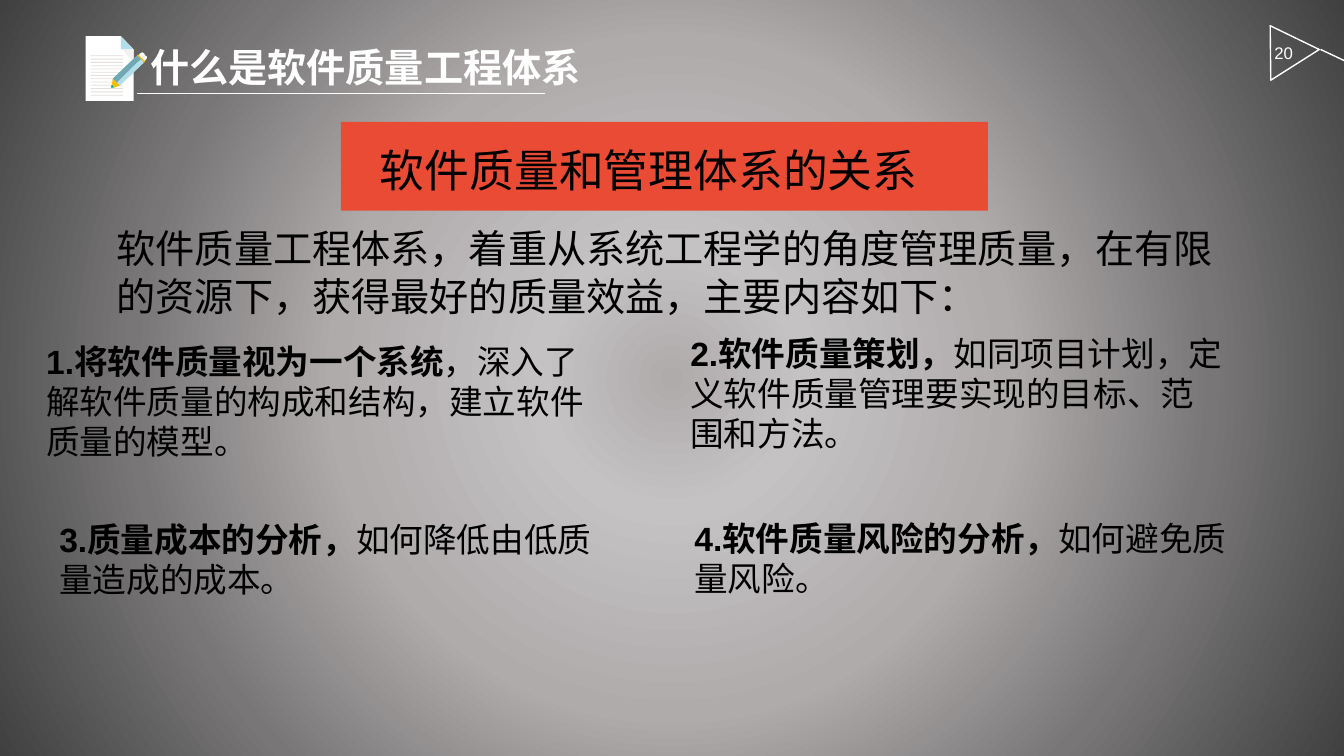
from dataclasses import dataclass

from lxml import etree
from pptx import Presentation, util as u
from pptx.dml.color import RGBColor
from pptx.enum import shapes, text
from pptx.oxml.ns import qn


@dataclass(frozen=True)
class Theme:
    latin: str = "Arial"
    chinese: str = "Noto Sans CJK SC"
    white: str = "FFFFFF"
    ink: str = "000000"
    banner: str = "E94B35"
    rule: str = "E3E0DB"
    glass: str = "B1DEEA"
    fold: str = "F1F1F0"
    steel: str = "70A9B3"
    gold: str = "F3C000"
    lead: str = "009A88"
    eraser: str = "FFFEFC"
    cap: str = "FBF8F1"
    backdrop: tuple = ((0, "F7FAFD"), (0, "AFABAB"), (17, "C4C2C3"),
                       (44, "AFABAB"), (70, "787676"), (100, "404040"))
    banner_size: int = 32
    title_size: int = 28
    point_size: int = 24
    page_size: int = 12


class SlideBuilder:
    """Draws on one slide; every length is in points."""

    def __init__(self, slide, theme):
        self.slide, self.theme = slide, theme

    def backdrop(self):
        self.slide.background.fill.gradient()
        gradient = self.slide.element.find(".//" + qn("a:gradFill"))
        for child in list(gradient):
            gradient.remove(child)
        stops = etree.SubElement(gradient, qn("a:gsLst"))
        for percent, color in self.theme.backdrop:
            stop = etree.SubElement(stops, qn("a:gs"), pos=str(percent * 1000))
            etree.SubElement(stop, qn("a:srgbClr"), val=color)
        circle = etree.SubElement(gradient, qn("a:path"), path="circle")
        etree.SubElement(circle, qn("a:fillToRect"),
                         {side: "50000" for side in "ltrb"})

    def paint(self, shape, fill=None, line=None, width=1):
        shape.shadow.inherit = False
        if fill:
            shape.fill.solid()
            shape.fill.fore_color.rgb = RGBColor.from_string(fill)
        else:
            shape.fill.background()
        if line:
            shape.line.color.rgb = RGBColor.from_string(line)
            shape.line.width = u.Pt(width)
        else:
            shape.line.fill.background()

    def preset(self, kind, box, parent=None, rotation=0, **look):
        shape = (parent or self.slide).shapes.add_shape(kind, *map(u.Pt, box))
        shape.rotation = rotation
        self.paint(shape, **look)

    def outline(self, points, fill, parent):
        start, *rest = [(u.Pt(x), u.Pt(y)) for x, y in points]
        builder = parent.shapes.build_freeform(*start)
        builder.add_line_segments(rest, close=True)
        self.paint(builder.convert_to_shape(), fill=fill)

    def line(self, ends, color, width):
        rule = self.slide.shapes.add_connector(
            shapes.MSO_CONNECTOR.STRAIGHT, *map(u.Pt, ends))
        rule.line.color.rgb = RGBColor.from_string(color)
        rule.line.width = u.Pt(width)
        etree.SubElement(rule.element.spPr, qn("a:effectLst"))

    def words(self, box, runs, size, color, font=None, before=0,
              align=text.PP_ALIGN.LEFT, **frame_format):
        frame = self.slide.shapes.add_textbox(*map(u.Pt, box)).text_frame
        frame_format = {"word_wrap": True,
                        "auto_size": text.MSO_AUTO_SIZE.SHAPE_TO_FIT_TEXT,
                        **frame_format}
        for name, value in frame_format.items():
            setattr(frame, name, value)
        paragraph = frame.paragraphs[0]
        paragraph.alignment = align
        if before:
            spacing = etree.SubElement(
                paragraph._p.get_or_add_pPr(), qn("a:spcBef"))
            etree.SubElement(spacing, qn("a:spcPct"), val=str(before * 1000))
        for wording, bold in runs:
            run = paragraph.add_run()
            run.text = wording
            run_format = {"size": u.Pt(size), "bold": bold,
                          "name": font or self.theme.latin}
            for name, value in run_format.items():
                setattr(run.font, name, value)
            run.font.color.rgb = RGBColor.from_string(color)
            etree.SubElement(run.font._element, qn("a:ea"),
                             typeface=self.theme.chinese)

    def notepad(self):
        theme = self.theme
        icon = self.slide.shapes.add_group_shape()
        # Sheet with its folded corner
        sheet = [
            (theme.white, [(61.2, 25.9), (61.2, 72), (95.4, 72),
                           (95.4, 35.3), (86.4, 25.9)]),
            (theme.glass, [(95.4, 35.3), (86.4, 25.9), (86.4, 35.3)]),
            (theme.fold, [(87.5, 35.3), (95.4, 44.3), (95.4, 35.3)]),
        ]
        pencil = [
            (theme.eraser, [(102.2, 44.6), (104.4, 42.5), (105.1, 41.4),
                            (104.8, 40.3), (103.7, 39.6), (100.8, 42.5)]),
            (theme.cap, [(103.7, 39.6), (103, 38.2), (101.5, 37.4),
                         (100.1, 38.2), (98.6, 40.3), (100.8, 42.5)]),
            (theme.gold, [(85.7, 61.2), (80.6, 56.2), (79.9, 60.5),
                          (81.4, 62.6)]),
            (theme.lead, [(81.4, 62.6), (79.9, 60.5), (79.2, 62.6)]),
            (theme.gold, [(98.6, 38.9), (97.9, 39.6), (103, 44.6),
                          (103.7, 43.9)]),
            (theme.glass, [(102.2, 44.6), (100.8, 42.5), (98.6, 43.9),
                           (83.5, 59), (85.7, 61.2), (103, 44.6)]),
            (theme.steel, [(98.6, 40.3), (97.9, 39.6), (80.6, 56.2),
                           (83.5, 59), (98.6, 43.9), (100.8, 42.5)]),
        ]
        for color, points in sheet:
            self.outline(points, color, icon)
        # Ruled lines on the sheet
        for row in range(13):
            self.preset(shapes.MSO_SHAPE.RECTANGLE,
                        (64.8, 39.6 + 2.34 * row, 23, 0.6),
                        parent=icon, fill=theme.rule)
        for color, points in pencil:
            self.outline(points, color, icon)


def main():
    theme = Theme()
    deck = Presentation()
    deck.slide_width, deck.slide_height = u.Pt(960), u.Pt(540)
    page = SlideBuilder(deck.slides.add_slide(deck.slide_layouts[6]), theme)
    page.backdrop()

    # Page marker
    page.preset(shapes.MSO_SHAPE.ISOSCELES_TRIANGLE, (895.7, 15.8, 41, 33.1),
                rotation=327.6, line=theme.white)
    page.line((943.2, 35.3, 966.2, 46.1), theme.white, 1)

    # Heading icon, underline and banner
    page.notepad()
    page.line((97.9, 67, 389.5, 67), theme.white, 0.5)
    page.preset(shapes.MSO_SHAPE.RECTANGLE, (243.4, 87.1, 462.2, 63.4),
                fill=theme.banner)

    # Four points: box, bold lead, explanation
    points = [
        ((486, 234, 395.3, 94.3), "2.软件质量策划，",
         "如同项目计划，定义软件质量管理要实现的目标、范围和方法。"),
        ((25.9, 239.8, 416.2, 94.3), "1.将软件质量视为一个系统",
         "，深入了解软件质量的构成和结构，建立软件质量的模型。"),
        ((488.9, 366.5, 416.2, 65.5), "4.软件质量风险的分析，",
         "如何避免质量风险。"),
        ((35.3, 367.2, 416.2, 65.5), "3.质量成本的分析，",
         "如何降低由低质量造成的成本。"),
    ]
    for box, lead, explanation in points:
        page.words(box, [(lead, True), (explanation, False)],
                   theme.point_size, theme.ink, before=40)

    # Banner wording, page number, introduction and title
    page.words((264.2, 98.6, 462.2, 46.1), [("软件质量和管理体系的关系", False)],
               theme.banner_size, theme.ink)
    page.words((901.4, 23.8, 31, 28.1), [("20", False)],
               theme.page_size, theme.white, align=text.PP_ALIGN.CENTER,
               auto_size=text.MSO_AUTO_SIZE.NONE,
               vertical_anchor=text.MSO_ANCHOR.MIDDLE)
    introduction = ("软件质量工程体系，着重从系统工程学的角度管理质量，"
                    "在有限的资源下，获得最好的质量效益，主要内容如下：")
    page.words((76.3, 157, 823.7, 74.9), [(introduction, False)],
               theme.title_size, theme.ink, font=theme.chinese, before=50)
    page.words((92.9, 27.4, 336.2, 41), [("什么是软件质量工程体系", True)],
               theme.title_size, theme.white, align=text.PP_ALIGN.CENTER)

    deck.save("out.pptx")


if __name__ == "__main__":
    main()
